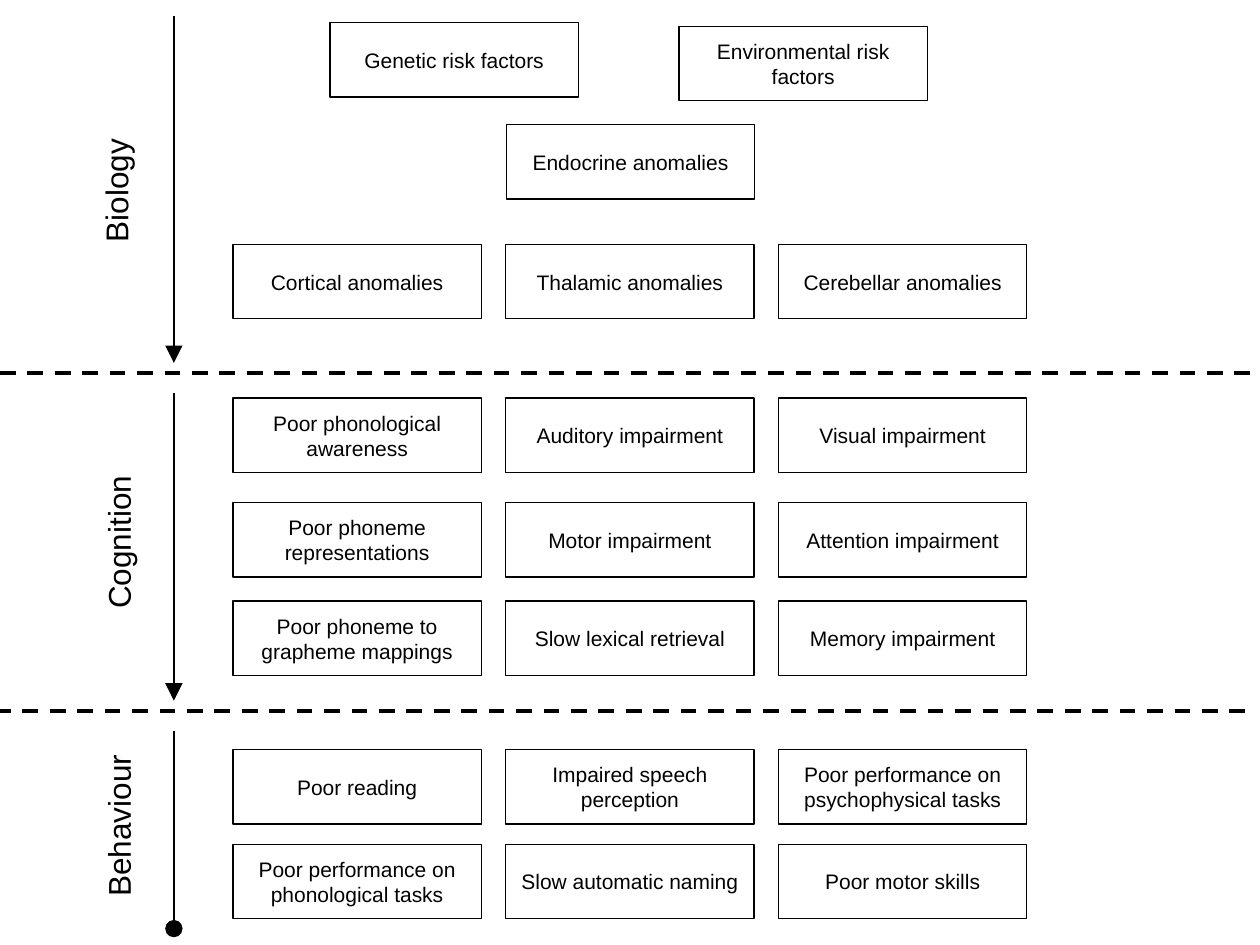
from pptx import Presentation, util as u
from pptx.dml.color import RGBColor
from pptx.enum import dml, shapes, text
from pptx.oxml.ns import qn
from lxml import etree

BLACK = "000000"
BOX_W, BOX_H = 1.97, 0.59
INDENT = 0.47  # from the arrow to the first column


def color(value):
    return RGBColor.from_string(value)


def add_run(p, words, size):
    r = p.add_run()
    r.text = words
    r.font.name = "Arial"
    r.font.size = u.Pt(size)
    r.font.color.rgb = color(BLACK)


def add_line(s, start, end, width, dash=None, tail=None):
    points = [u.Inches(n) for n in (*start, *end)]
    line = s.shapes.add_connector(shapes.MSO_CONNECTOR.STRAIGHT, *points)
    line.line.color.rgb = color(BLACK)
    line.line.width = u.Pt(width)
    if dash:
        line.line.dash_style = dash
    sp_pr = line._element.spPr
    if tail:
        etree.SubElement(sp_pr.find(qn("a:ln")), qn("a:tailEnd"),
                         type=tail, w="lg", len="lg")
    etree.SubElement(sp_pr, qn("a:effectLst"))


def add_box(s, x, y, words):
    sp = s.shapes.add_shape(shapes.MSO_SHAPE.RECTANGLE, u.Inches(x), u.Inches(y),
                            u.Inches(BOX_W), u.Inches(BOX_H))
    sp.shadow.inherit = False
    sp.fill.background()
    sp.line.color.rgb = color(BLACK)
    sp.line.width = u.Pt(0.75)
    tf = sp.text_frame
    tf.word_wrap = True
    tf.vertical_anchor = text.MSO_ANCHOR.MIDDLE
    p = tf.paragraphs[0]
    p.alignment = text.PP_ALIGN.CENTER
    add_run(p, words, 12)


def add_label(s, cx, cy, width, words):
    height = 0.4
    sp = s.shapes.add_textbox(u.Inches(cx - width / 2), u.Inches(cy - height / 2),
                              u.Inches(width), u.Inches(height))
    sp.rotation = 270
    tf = sp.text_frame
    tf.word_wrap = False
    tf.auto_size = text.MSO_AUTO_SIZE.SHAPE_TO_FIT_TEXT
    add_run(tf.paragraphs[0], words, 18)


def add_level(s, box, label, tail, rows, loose=()):
    """Label, arrow on the left edge, rows of three boxes and loose boxes."""
    x, y, w, h = box
    words, dx, dy, width = label
    add_label(s, x + dx, y + dy, width, words)
    add_line(s, (x, y), (x, y + h), 1.5, tail=tail)
    pitch = (w - INDENT - BOX_W) / 2
    for row_y, names in rows:
        for i, name in enumerate(names):
            add_box(s, x + INDENT + i * pitch, y + row_y, name)
    for box_x, box_y, name in loose:
        add_box(s, x + box_x, y + box_y, name)


def main():
    prs = Presentation()
    prs.slide_width, prs.slide_height = u.Inches(10), u.Inches(7.5)
    s = prs.slides.add_slide(prs.slide_layouts[6])
    left, width = 1.38, 6.77

    # Biology
    add_level(s, (left, 0.13, width, 2.75), ("Biology", -0.46, 1.36, 1.06), "triangle",
              [(1.81, ("Cortical anomalies", "Thalamic anomalies", "Cerebellar anomalies"))],
              [(1.24, 0.05, "Genetic risk factors"),
               (4.01, 0.08, "Environmental risk factors"),
               (2.64, 0.86, "Endocrine anomalies")])

    # Cognition
    add_level(s, (left, 3.12, width, 2.44), ("Cognition", -0.44, 1.16, 1.3), "triangle",
              [(0.04, ("Poor phonological awareness", "Auditory impairment",
                       "Visual impairment")),
               (0.87, ("Poor phoneme representations", "Motor impairment",
                       "Attention impairment")),
               (1.65, ("Poor phoneme to grapheme mappings", "Slow lexical retrieval",
                       "Memory impairment"))])

    # Behaviour
    add_level(s, (left, 5.8, width, 1.57), ("Behaviour", -0.44, 0.73, 1.37), "oval",
              [(0.15, ("Poor reading", "Impaired speech perception",
                       "Poor performance on psychophysical tasks")),
               (0.9, ("Poor performance on phonological tasks", "Slow automatic naming",
                      "Poor motor skills"))])

    # Dividers between the levels
    for x, y in ((0, 2.96), (-0.04, 5.64)):
        add_line(s, (x, y), (x + 10, y), 2.25, dash=dml.MSO_LINE.DASH)

    prs.save("out.pptx")


if __name__ == "__main__":
    main()
